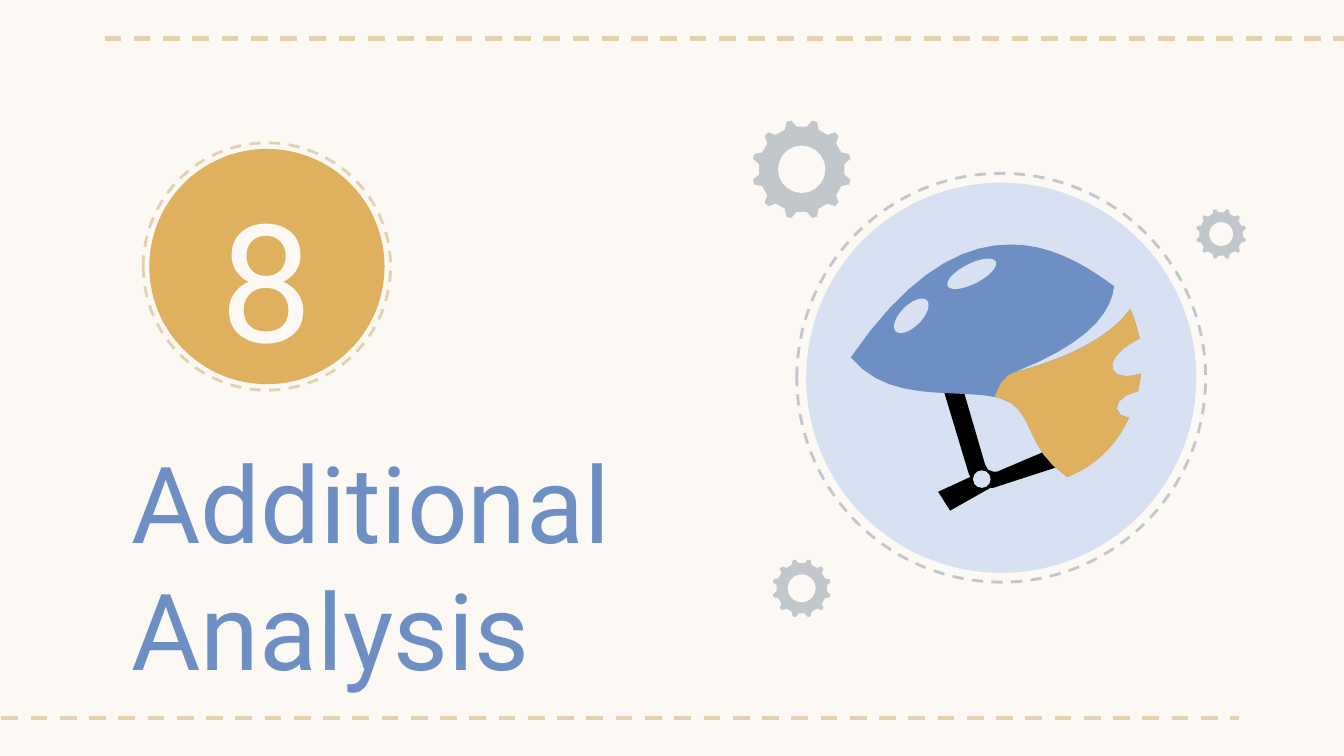
from math import cos, dist, pi, sin

from lxml import etree
from pptx import Presentation
from pptx.dml.color import RGBColor
from pptx.enum.dml import MSO_LINE
from pptx.enum.shapes import MSO_CONNECTOR, MSO_SHAPE
from pptx.enum.text import MSO_ANCHOR, PP_ALIGN
from pptx.oxml.ns import qn
from pptx.util import Pt

DASH = MSO_LINE.DASH
LINE = MSO_CONNECTOR.STRAIGHT
OVAL = MSO_SHAPE.OVAL
TOP, MIDDLE = MSO_ANCHOR.TOP, MSO_ANCHOR.MIDDLE
LEFT, CENTER = PP_ALIGN.LEFT, PP_ALIGN.CENTER

rgb = RGBColor.from_string
CREAM, SAND, GOLD = "FCF8F4", "E4D1AD", "DFB05E"
GREY, PALE, BLUE, BLACK = "C2C7CC", "D8E1F1", "6E8FC3", "000000"

prs = Presentation()
prs.slide_width, prs.slide_height = Pt(720), Pt(405)
slide = prs.slides.add_slide(prs.slide_layouts[6])
slide.background.fill.solid()
slide.background.fill.fore_color.rgb = rgb(CREAM)


def flatten(start, segments):
    """Points along line segments (x, y) and cubic curves (6 numbers)."""
    points = [start]
    for seg in segments:
        if len(seg) == 2:
            points.append(seg)
            continue
        x0, y0 = points[-1]
        x1, y1, x2, y2, x3, y3 = seg
        steps = max(2, min(9, round(dist((x0, y0), (x3, y3)) / 5)))
        for i in range(1, steps + 1):
            t = i / steps
            a, b, c, d = (1 - t) ** 3, 3 * t * (1 - t) ** 2, 3 * t * t * (1 - t), t ** 3
            points.append((a * x0 + b * x1 + c * x2 + d * x3,
                           a * y0 + b * y1 + c * y2 + d * y3))
    return points


def outline(color, *contours):
    """Filled freeform; inner contours become holes."""
    builder = None
    for contour in contours:
        first, *rest = [(Pt(x), Pt(y)) for x, y in contour]
        if builder is None:
            builder = slide.shapes.build_freeform(*first)
        else:
            builder.move_to(*first)
        builder.add_line_segments(rest, close=True)
    s = builder.convert_to_shape()
    s.shadow.inherit = False
    s.fill.solid()
    s.fill.fore_color.rgb = rgb(color)
    s.line.fill.background()


# Dashed rules at top and bottom
for x, y in [(56, 20.6), (-15, 384.5)]:
    s = slide.shapes.add_connector(LINE, Pt(x), Pt(y), Pt(x + 679), Pt(y))
    s.line.color.rgb = rgb(SAND)
    s.line.width = Pt(2.25)
    s.line.dash_style = DASH
    etree.SubElement(s._element.spPr, qn("a:effectLst"))

# Discs with dashed rings: centre x, centre y, ring and disc diameter, colours
for cx, cy, ring, disc, ring_color, disc_color in [
    (143, 142.8, 132.5, 126, SAND, GOLD),
    (536.4, 202.4, 219, 209, GREY, PALE),
]:
    for d in (ring, disc):
        s = slide.shapes.add_shape(OVAL, Pt(cx - d / 2), Pt(cy - d / 2), Pt(d), Pt(d))
        s.shadow.inherit = False
        if d == ring:
            s.fill.background()
            s.line.color.rgb = rgb(ring_color)
            s.line.width = Pt(1.5)
            s.line.dash_style = DASH
        else:
            s.fill.solid()
            s.fill.fore_color.rgb = rgb(disc_color)
            s.line.fill.background()

# Title and section number
for text, x, y, w, h, size, color, align, anchor in [
    ("Additional Analysis", 63.4, 226.8, 369.4, 66.2, 57, BLUE, LEFT, TOP),
    ("8", 72, 83.5, 141.8, 129.6, 88, CREAM, CENTER, MIDDLE),
]:
    tf = slide.shapes.add_textbox(Pt(x), Pt(y), Pt(w), Pt(h)).text_frame
    tf.word_wrap = True
    tf.vertical_anchor = anchor
    tf.margin_left = tf.margin_right = tf.margin_top = tf.margin_bottom = Pt(7.2)
    p = tf.paragraphs[0]
    p.text = text
    p.alignment = align
    p.font.name = "Roboto"
    p.font.size = Pt(size)
    p.font.color.rgb = rgb(color)

# Helmet chin straps
outline(BLACK, flatten((500.4, 192.2), [
    (511.2, 192.2), (527.8, 249.1),
    (528.5, 251.3, 529.9, 252.7, 532.1, 252.7), (534.2, 252.7), (576.7, 234.7),
    (578.9, 246.2), (532.1, 261.4), (530.6, 261.4), (509, 273.6), (502.6, 263.5),
    (519.8, 255.6), (519.1, 254.2),
]))

# Helmet shell and back, which share the rear edge
rear = [
    (565.9, 193.7, 593.3, 182.9, 605.5, 165.6),
    (607.7, 169.9, 609.1, 175.7, 610.6, 181.4),
    (607.7, 182.9),
    (599, 187.2, 594, 194.4, 596.2, 198),
    (596.9, 200.2, 599.8, 201.6, 603.4, 201.6),
    (605.5, 201.6, 608.4, 200.9, 611.3, 200.2),
    (609.8, 209.5),
    (602.6, 211, 597.6, 215.3, 598.3, 218.9),
    (598.3, 221.8, 601.2, 223.2, 604.8, 223.9),
    (599, 236.9, 588.2, 249.1, 571.7, 255.6),
]
outline(BLUE, flatten((541.4, 131), [
    (564.5, 131, 583.2, 143.3, 596.9, 153.4),
    (595.4, 167, 583.9, 183.6, 543.6, 199.4),
    *rear,
    (544.3, 236.9, 558, 213.8, 526.3, 211.7),
    (500.4, 209.5, 473.8, 213.1, 455.8, 191.5),
    (487.4, 145.4, 516.2, 131, 541.4, 131),
]))
outline(GOLD, flatten((543.6, 199.4), [
    *rear,
    (546.5, 238.3, 555.8, 217.4, 532.8, 212.4),
    (536.4, 202.3, 540, 200.9, 543.6, 199.4),
]))

# Helmet vents and strap buckle: centre, size, rotation
for cx, cy, w, h, angle in [
    (520.6, 146.7, 29, 10.8, -27),
    (488.2, 169.2, 23.6, 11.4, -45),
    (526, 256.7, 9.4, 9.4, 0),
]:
    s = slide.shapes.add_shape(OVAL, Pt(cx - w / 2), Pt(cy - h / 2), Pt(w), Pt(h))
    s.rotation = angle
    s.shadow.inherit = False
    s.fill.solid()
    s.fill.fore_color.rgb = rgb(PALE)
    s.line.fill.background()

# Gears with 12 rounded notches and a round hole: centre and radius
for cx, cy, radius in [(429.5, 90.7, 26.6), (654.2, 125.4, 13.5), (429.5, 315.2, 15.7)]:
    rim = []
    for notch in range(12):
        a = notch * pi / 6
        for i in range(4):
            t = i * pi / 3
            u = radius * (0.98 - 0.14 * sin(t))
            v = -radius * 0.21 * cos(t)
            rim.append((cx + u * cos(a) - v * sin(a), cy + u * sin(a) + v * cos(a)))
    hole = [(cx + 0.48 * radius * cos(i * pi / 10), cy + 0.48 * radius * sin(i * pi / 10))
            for i in range(20)]
    outline(GREY, rim, hole)

prs.save("out.pptx")
